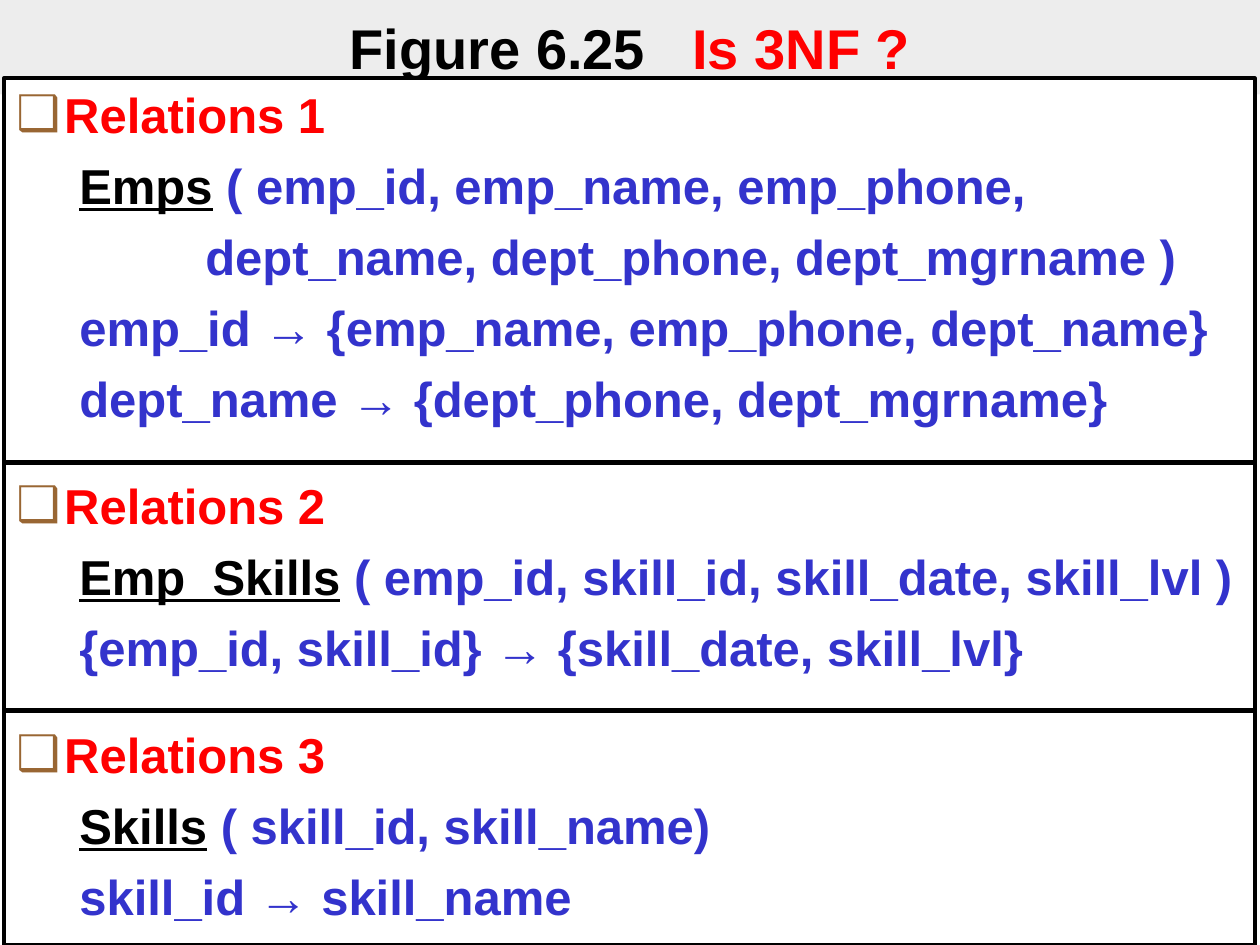
import pptx
import pptx.dml.color
import pptx.enum.shapes
import pptx.enum.text
import pptx.oxml.ns
import pptx.util
from lxml import etree

COLORS = {
    "title_band": "DDDDDD",
    "paper": "FFFFFF",
    "ink": "000000",
    "heading": "FF0000",
    "schema": "3333CC",
    "bullet": "996633",
}
FONT = "Arial"
TITLE = [("Figure 6.25", "ink"), (" ", "ink"), ("Is 3NF ?", "heading")]
TITLE_GAP = 17.8  # points added to the space between the title's two parts

# Each paragraph is a kind and its runs; relation names are underlined.
RELATIONS = [
    ("heading", [("Relations 1", "heading")]),
    ("line", [("Emps", "ink"), (" ( emp_id, emp_name, emp_phone,", "schema")]),
    ("continued", [("dept_name, dept_phone, dept_mgrname )", "schema")]),
    ("line", [("emp_id → {emp_name, emp_phone, dept_name}", "schema")]),
    ("line", [("dept_name → {dept_phone, dept_mgrname}", "schema")]),
    ("heading", [("Relations 2", "heading")]),
    ("line", [("Emp_Skills", "ink"),
              (" ( emp_id, skill_id, skill_date, skill_lvl )", "schema")]),
    ("line", [("{emp_id, skill_id} → {skill_date, skill_lvl}", "schema")]),
    ("heading", [("Relations 3", "heading")]),
    ("line", [("Skills", "ink"), (" ( skill_id, skill_name)", "schema")]),
    ("line", [("skill_id → skill_name", "schema")]),
]
# kind: (level, left margin, first-line indent, space before)
KINDS = {
    "heading": (0, 0.38, -0.38, 27.3),
    "line": (1, 0.81, -0.31, 7),
    "continued": (3, 1.75, -0.25, 7),
}
DIVIDERS = [3.67, 5.64]


def color(name):
    return pptx.dml.color.RGBColor.from_string(COLORS[name])


def add_child(parent, tag, **attributes):
    return etree.SubElement(parent, pptx.oxml.ns.qn(tag), attributes)


def place(shape, left, top, width, height):
    shape.left, shape.top = pptx.util.Inches(left), pptx.util.Inches(top)
    shape.width, shape.height = pptx.util.Inches(width), pptx.util.Inches(height)


def fill(shape, name):
    shape.fill.solid()
    shape.fill.fore_color.rgb = color(name)


def add_run(paragraph, text, color_name, size):
    run = paragraph.add_run()
    run.text = text
    run.font.name = FONT
    run.font.size = pptx.util.Pt(size)
    run.font.bold = True
    run.font.color.rgb = color(color_name)
    return run


def format_paragraph(paragraph, kind, is_first):
    level, margin, indent, space_before = KINDS[kind]
    paragraph.level = level
    paragraph.space_before = pptx.util.Pt(0 if is_first else space_before)
    properties = paragraph._p.get_or_add_pPr()
    properties.set("marL", str(pptx.util.Inches(margin)))
    properties.set("indent", str(pptx.util.Inches(indent)))
    if kind == "heading":
        bullet_color = add_child(properties, "a:buClr")
        add_child(bullet_color, "a:srgbClr", val=COLORS["bullet"])
        add_child(properties, "a:buFont", typeface=FONT)
        add_child(properties, "a:buChar", char="❑")
    else:
        add_child(properties, "a:buNone")


def build_title(title):
    place(title, 0, 0, 10, 0.75)
    fill(title, "title_band")
    band_color = title._element.spPr.find(".//" + pptx.oxml.ns.qn("a:srgbClr"))
    add_child(band_color, "a:alpha", val="50000")
    frame = title.text_frame
    frame.auto_size = pptx.enum.text.MSO_AUTO_SIZE.NONE
    frame.vertical_anchor = pptx.enum.text.MSO_ANCHOR.MIDDLE
    paragraph = frame.paragraphs[0]
    paragraph.alignment = pptx.enum.text.PP_ALIGN.CENTER
    for text, color_name in TITLE:
        run = add_run(paragraph, text, color_name, 32)
        if text == " ":
            run.font._element.set("spc", str(round(TITLE_GAP * 100)))


def build_body(body):
    place(body, 0.03, 0.62, 9.93, 6.88)
    fill(body, "paper")
    body.line.color.rgb = color("ink")
    body.line.width = pptx.util.Pt(2)
    frame = body.text_frame
    frame.word_wrap = True
    frame.auto_size = pptx.enum.text.MSO_AUTO_SIZE.NONE
    frame.vertical_anchor = pptx.enum.text.MSO_ANCHOR.TOP
    for index, (kind, runs) in enumerate(RELATIONS):
        paragraph = frame.add_paragraph() if index else frame.paragraphs[0]
        format_paragraph(paragraph, kind, index == 0)
        for text, color_name in runs:
            run = add_run(paragraph, text, color_name, 28)
            run.font.underline = color_name == "ink"


def add_divider(slide, y):
    divider = slide.shapes.add_connector(
        pptx.enum.shapes.MSO_CONNECTOR.STRAIGHT,
        pptx.util.Inches(0.04), pptx.util.Inches(y),
        pptx.util.Inches(9.96), pptx.util.Inches(y))
    divider.line.color.rgb = color("ink")
    divider.line.width = pptx.util.Pt(3)
    add_child(divider._element.spPr, "a:effectLst")


def main():
    presentation = pptx.Presentation()
    presentation.slide_width = pptx.util.Inches(10)
    presentation.slide_height = pptx.util.Inches(7.5)
    slide = presentation.slides.add_slide(presentation.slide_layouts[1])
    build_title(slide.shapes.title)
    build_body(slide.placeholders[1])
    for y in DIVIDERS:
        add_divider(slide, y)
    presentation.save("out.pptx")


if __name__ == "__main__":
    main()
